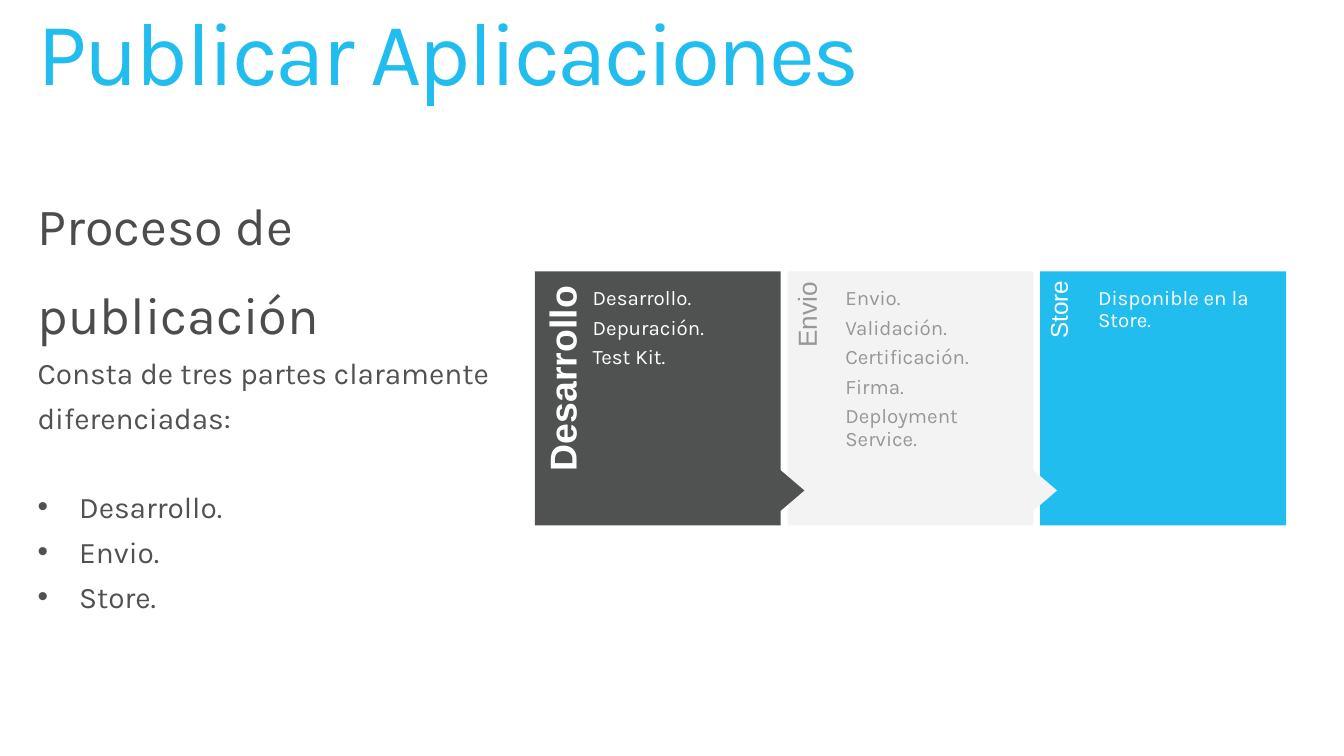
"""Build the slide on the three-part app publishing process."""
from lxml import etree
from pptx import Presentation
from pptx.dml.color import RGBColor
from pptx.enum.shapes import MSO_SHAPE
from pptx.enum.text import MSO_ANCHOR, MSO_AUTO_SIZE, PP_ALIGN
from pptx.oxml.ns import qn
from pptx.util import Inches, Pt

RECTANGLE = MSO_SHAPE.RECTANGLE
ARROW = MSO_SHAPE.FLOWCHART_EXTRACT
TOP = MSO_ANCHOR.TOP
NO_FIT = MSO_AUTO_SIZE.NONE
LEFT, RIGHT = PP_ALIGN.LEFT, PP_ALIGN.RIGHT

THEME = {
    "font": "Karla", "label_font": "Arial",
    "blue": "22BDEF", "dark": "505151", "light": "F3F3F4",
    "white": "FFFFFF", "gray": "979796", "heading": "4C4C4B",
    "title_size": 48, "heading_size": 28, "body_size": 16, "item_size": 11,
}


def write(box, insets, paragraphs):
    frame = box.text_frame
    sides = ("margin_left", "margin_top", "margin_right", "margin_bottom")
    layout = dict(zip(sides, map(Inches, insets)))
    layout.update(word_wrap=True, auto_size=NO_FIT, vertical_anchor=TOP)
    for name, value in layout.items():
        setattr(frame, name, value)
    for index, (text, spacing, color, font) in enumerate(paragraphs):
        paragraph = frame.add_paragraph() if index else frame.paragraphs[0]
        for name, value in spacing.items():
            setattr(paragraph, name, value)
        run = paragraph.add_run()
        run.text = text
        run.font.color.rgb = RGBColor.from_string(THEME[color])
        for name, value in font.items():
            setattr(run.font, name, value)
    return frame.paragraphs


def add_block(shapes, kind, place, color):
    block = shapes.add_shape(kind, *map(Inches, place))
    block.shadow.inherit = False
    block.fill.solid()
    block.fill.fore_color.rgb = RGBColor.from_string(THEME[color])
    block.line.fill.background()
    return block


presentation = Presentation()
presentation.slide_width = Inches(10)
presentation.slide_height = Inches(10) * 9 // 16
slide = presentation.slides.add_slide(presentation.slide_layouts[5])

title = slide.shapes.title
title_place = {"left": 0.28, "top": 0.16, "width": 9.46, "height": 0.84}
for name, value in title_place.items():
    setattr(title, name, Inches(value))
title_font = {"name": THEME["font"], "size": Pt(THEME["title_size"])}
title_spacing = {"alignment": LEFT, "line_spacing": 0.75}
title_lines = write(title, (0, 0, 0, 0), [
    ("Publicar Aplicaciones", title_spacing, "blue", title_font)])
title_lines[0].runs[0].font._element.set("spc", "-150")

heading_font = {"name": THEME["font"], "size": Pt(THEME["heading_size"])}
body_font = {"name": THEME["font"], "size": Pt(THEME["body_size"])}
loose = {"line_spacing": 1.25}
process = slide.shapes.add_textbox(*map(Inches, (0.28, 1.32, 3.46, 3.51)))
process_lines = write(process, (0, 0, 0, 0), [
    ("Proceso de", loose, "heading", heading_font),
    ("publicación", {**loose, "space_before": Pt(6)}, "heading", heading_font),
    ("Consta de tres partes claramente diferenciadas:", loose, "dark", body_font),
    ("Desarrollo.", {**loose, "space_before": Pt(24)}, "dark", body_font),
    ("Envio.", loose, "dark", body_font),
    ("Store.", loose, "dark", body_font),
])
for step in process_lines[3:]:
    properties = step._p.get_or_add_pPr()
    properties.set("marL", str(Inches(0.31)))
    properties.set("indent", str(-Inches(0.31)))
    etree.SubElement(properties, qn("a:buFont")).set("typeface", "Arial")
    etree.SubElement(properties, qn("a:buChar")).set("char", "•")

stages = [
    ("Desarrollo", 20, True, (0, 0.07, 0.1, 0), "dark", "white",
     ["Desarrollo.", "Depuración.", "Test Kit."]),
    ("Envio", 14, False, (0, 0.05, 0.07, 0), "light", "gray",
     ["Envio.", "Validación.", "Certificación.", "Firma.", "Deployment Service."]),
    ("Store", 13, False, (0, 0.05, 0.06, 0), "blue", "white",
     ["Disponible en la Store."]),
]
item_font = {"name": THEME["font"], "size": Pt(THEME["item_size"])}
item_spacing = {"line_spacing": 0.9, "space_after": Pt(4)}
label_spacing = {"alignment": RIGHT, "line_spacing": 0.9}
diagram = slide.shapes.add_group_shape().shapes
previous_fill = None
for index, (name, size, bold, insets, fill, color, items) in enumerate(stages):
    left = 3.98 + 1.88 * index
    add_block(diagram, RECTANGLE, (left, 2.02, 1.83, 1.89), fill)

    label = diagram.add_textbox(*map(Inches, (left - 0.59, 2.62, 1.55, 0.37)))
    label.rotation = 270
    label_font = {"name": THEME["label_font"], "size": Pt(size), "bold": bold}
    write(label, insets, [(name, label_spacing, color, label_font)])

    if previous_fill:
        arrow = add_block(diagram, ARROW, (left - 0.2, 3.53, 0.41, 0.24), previous_fill)
        arrow.rotation = 90
    previous_fill = fill

    details = diagram.add_textbox(*map(Inches, (left + 0.35, 2.02, 1.36, 1.89)))
    write(details, (0.08, 0.12, 0, 0),
          [(item, item_spacing, color, item_font) for item in items])

presentation.save("out.pptx")
